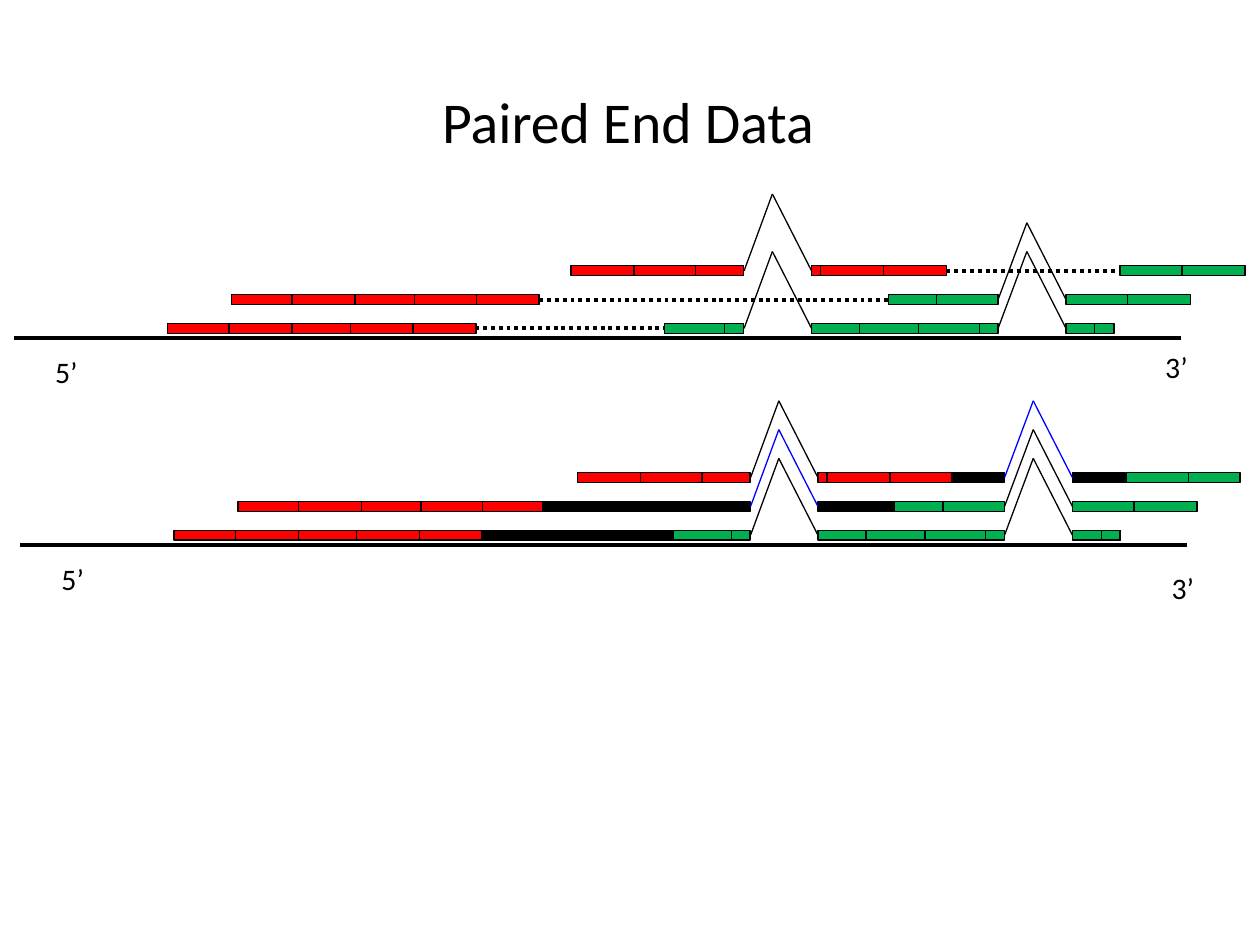
from lxml.etree import SubElement
from pptx import Presentation
from pptx.dml.color import RGBColor
from pptx.enum.dml import MSO_LINE
from pptx.enum.shapes import MSO_CONNECTOR, MSO_SHAPE
from pptx.enum.text import MSO_ANCHOR, MSO_AUTO_SIZE, PP_ALIGN
from pptx.oxml.ns import qn
from pptx.util import Cm, Pt

FONT = "Calibri"
RED, GREEN, BLACK, BLUE = "FF0000", "00B050", "000000", "0000FF"

# Row layout in cm, rows counted from the top
ROW_TOP, ROW_PITCH, BAR_H = 5.36, 0.58, 0.2
AXIS_Y, AXIS_LEFT, AXIS_RIGHT = 6.81, 0.28, 23.8
LOWER_SHIFT = (0.13, 4.17)
PIECE = 1.27  # usual width of a read piece

# Introns: left foot, peak, right foot
INTRONS = [(15.0, 15.57, 16.36), (20.12, 20.7, 21.49)]
PEAK_H = 1.55

# Read pieces of each row: colour, left, width
READS = [
    [(RED, 11.51, PIECE), (RED, 12.78, PIECE), (RED, 14.02, 0.97),
     (RED, 16.36, 0.2), (RED, 16.54, PIECE), (RED, 17.81, PIECE),
     (GREEN, 22.58, PIECE)],
    [(GREEN, 18.8, 1.32), (GREEN, 21.49, PIECE), (GREEN, 17.91, 0.97),
     (RED, 4.67, PIECE), (RED, 7.09, PIECE), (RED, 8.36, PIECE),
     (RED, 9.6, PIECE), (RED, 5.89, PIECE), (GREEN, 22.73, PIECE)],
    [(GREEN, 13.39, PIECE), (GREEN, 17.25, PIECE), (GREEN, 18.52, PIECE),
     (GREEN, 14.61, 0.38), (GREEN, 16.36, 0.97), (GREEN, 19.74, 0.38),
     (GREEN, 21.49, 0.97), (GREEN, 22.07, 0.38), (RED, 3.38, PIECE),
     (RED, 5.82, PIECE), (RED, 7.06, PIECE), (RED, 8.33, PIECE),
     (RED, 4.62, PIECE)],
]
LAST_READ_LEFT = 23.83

# Gaps between mates (row, from, to), and the black pieces filling them (row, left, width)
GAPS = [(0, 19.08, 22.58), (1, 10.87, 17.91), (2, 9.58, 13.39)]
FILLS = [(1, 10.82, 4.17), (2, 9.58, 3.86), (1, 16.36, 1.55),
         (0, 19.05, 1.07), (0, 21.49, 1.07)]

# Splices: row, intron, colour
SPLICES = [(0, 0, BLACK), (2, 0, BLACK), (1, 1, BLACK), (2, 1, BLACK)]
INFERRED_SPLICES = [(1, 0, BLUE), (0, 1, BLUE)]


def rgb(value):
    return RGBColor.from_string(value)


def row_top(row):
    return ROW_TOP + row * ROW_PITCH


def row_middle(row):
    return row_top(row) + BAR_H / 2


def format_text(tf, text, size):
    tf.text = text
    p = tf.paragraphs[0]
    p.font.name, p.font.size = FONT, Pt(size)
    p.font.color.rgb = rgb(BLACK)
    return p


def add_title(slide, text):
    title = slide.shapes.title
    title.left, title.top = Cm(2.54), Cm(0.91)
    title.width, title.height = Cm(20.24), Cm(2.95)
    tf = title.text_frame
    tf.margin_left = tf.margin_right = tf.margin_bottom = 0
    tf.margin_top = Cm(0.1)
    tf.vertical_anchor = MSO_ANCHOR.MIDDLE
    tf.auto_size = MSO_AUTO_SIZE.NONE
    format_text(tf, text, 33).alignment = PP_ALIGN.CENTER


class Panel:
    """One grouped gene diagram, shifted from the base layout."""

    def __init__(self, slide, dx=0, dy=0):
        self.shapes = slide.shapes.add_group_shape().shapes
        self.dx, self.dy = dx, dy

    def at(self, x, y):
        return Cm(x + self.dx), Cm(y + self.dy)

    def line(self, start, end, color=BLACK, width=0.75, dash=None):
        line = self.shapes.add_connector(
            MSO_CONNECTOR.STRAIGHT, *self.at(*start), *self.at(*end))
        line.line.color.rgb = rgb(color)
        line.line.width = Pt(width)
        if dash:
            line.line.dash_style = dash
        SubElement(line._element.spPr, qn("a:effectLst"))

    def label(self, text, x, y):
        box = self.shapes.add_textbox(*self.at(x, y), Cm(1.27), Cm(0.99))
        box.text_frame.word_wrap = True
        format_text(box.text_frame, text, 17)

    def bar(self, row, color, left, width):
        sp = self.shapes.add_shape(
            MSO_SHAPE.RECTANGLE, *self.at(left, row_top(row)), Cm(width), Cm(BAR_H))
        sp.shadow.inherit = False
        sp.fill.solid()
        sp.fill.fore_color.rgb = rgb(color)
        sp.line.color.rgb = rgb(BLACK)
        sp.line.width = Pt(0.75)

    def splice(self, row, intron, color):
        left, peak, right = INTRONS[intron]
        y = row_middle(row)
        for foot in (left, right):
            self.line((peak, y - PEAK_H), (foot, y), color)

    def draw(self, three_prime_y, last_width):
        # Gene axis and its ends
        self.line((AXIS_LEFT, AXIS_Y), (AXIS_RIGHT, AXIS_Y), width=2.25)
        self.label("5’", 0.86, 7.01)
        self.label("3’", 23.24, three_prime_y)
        # Reads and their splices
        for row, pieces in enumerate(READS):
            for piece in pieces:
                self.bar(row, *piece)
        self.bar(0, GREEN, LAST_READ_LEFT, last_width)
        for splice in SPLICES:
            self.splice(*splice)


def main():
    prs = Presentation()
    prs.slide_width, prs.slide_height = Cm(25.4), Cm(19.05)
    slide = prs.slides.add_slide(prs.slide_layouts[5])
    add_title(slide, "Paired End Data")

    # Lower panel: gaps filled in
    lower = Panel(slide, *LOWER_SHIFT)
    lower.draw(three_prime_y=7.19, last_width=1.04)
    for row, left, width in FILLS:
        lower.bar(row, BLACK, left, width)
    for splice in INFERRED_SPLICES:
        lower.splice(*splice)

    # Upper panel: gaps dotted
    upper = Panel(slide)
    upper.draw(three_prime_y=6.91, last_width=PIECE)
    for row, start, end in GAPS:
        y = row_middle(row)
        upper.line((start, y), (end, y), width=2.25, dash=MSO_LINE.ROUND_DOT)

    prs.save("out.pptx")


if __name__ == "__main__":
    main()
